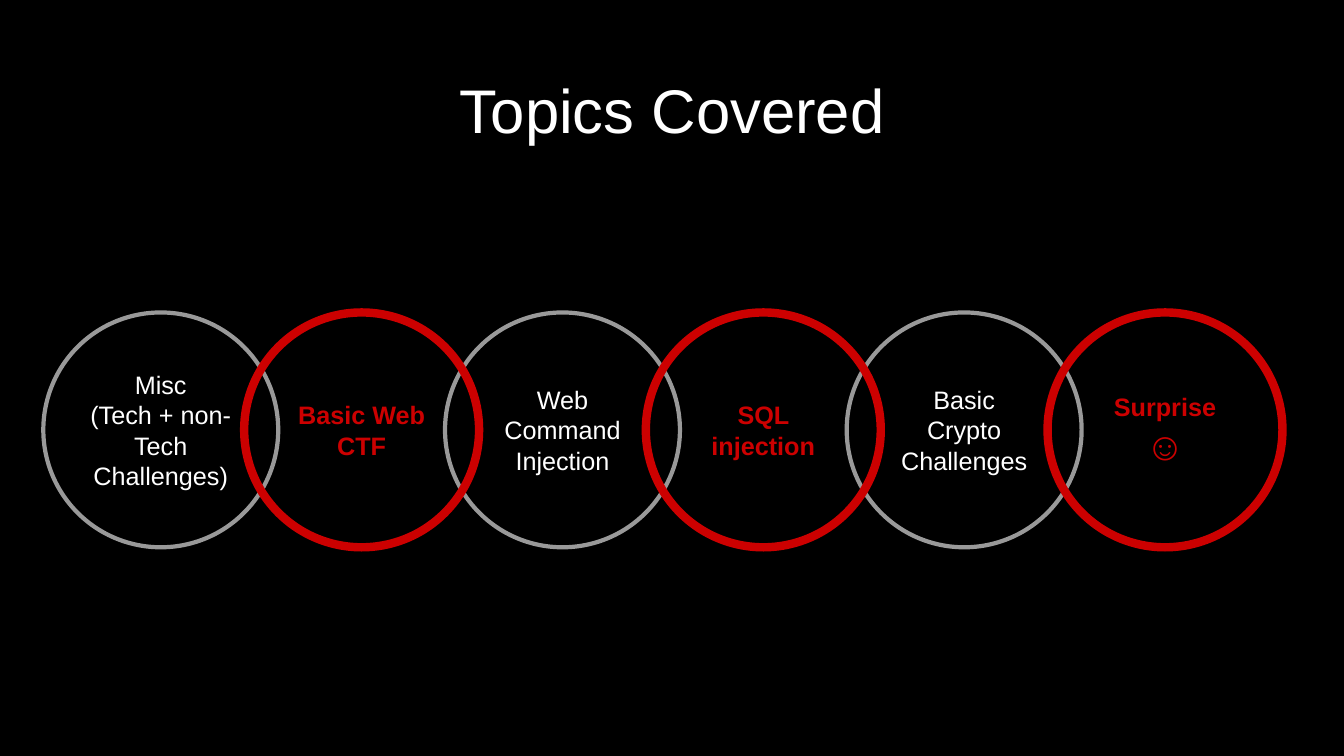
from pptx import Presentation
from pptx.dml.color import RGBColor
from pptx.enum.shapes import MSO_SHAPE as SHAPE
from pptx.enum.text import MSO_ANCHOR as ANCHOR, PP_ALIGN as ALIGN
from pptx.util import Inches, Pt

WHITE, GREY, RED, BLACK = "FFFFFF", "999999", "CC0000", "000000"
DIAMETER, LEFT, TOP = 2.33, 0.43, 3.1
PITCH = 9.96 / 5
TOPICS = [
    ["Misc", "(Tech + non-Tech Challenges)"],
    ["Basic Web CTF"],
    ["Web", "Command", "Injection"],
    ["SQL injection"],
    ["Basic", "Crypto", "Challenges"],
    ["Surprise", "\u263a"],
]


def rgb(value):
    return RGBColor.from_string(value)


def write(tf, lines, size=18, color=WHITE, bold=False, spacing=1.0, inset=0.1):
    tf.word_wrap = True
    tf.vertical_anchor = ANCHOR.MIDDLE
    tf.margin_left = tf.margin_right = Inches(0.1)
    tf.margin_top = tf.margin_bottom = Inches(inset)
    for i, line in enumerate(lines):
        p = tf.paragraphs[0] if i == 0 else tf.add_paragraph()
        p.alignment = ALIGN.CENTER
        p.line_spacing = spacing
        r = p.add_run()
        r.text = line
        r.font.name = "Arial"
        r.font.size = Pt(28 if line == "\u263a" else size)
        r.font.bold = bold
        r.font.color.rgb = rgb(color)


def add_title(slide, text):
    sp = slide.shapes.add_textbox(Inches(0.92), Inches(0.4), Inches(11.5), Inches(1.45))
    write(sp.text_frame, [text], size=44, spacing=0.9, inset=0.05)


def add_ring(slide, index, lines, line_color, line_width, **text_format):
    sp = slide.shapes.add_shape(
        SHAPE.OVAL, Inches(LEFT + index * PITCH), Inches(TOP),
        Inches(DIAMETER), Inches(DIAMETER))
    sp.shadow.inherit = False
    sp.fill.background()
    sp.line.color.rgb = rgb(line_color)
    sp.line.width = Pt(line_width)
    write(sp.text_frame, lines, **text_format)


def main():
    prs = Presentation()
    prs.slide_width, prs.slide_height = Inches(13.33), Inches(7.5)
    slide = prs.slides.add_slide(prs.slide_layouts[6])
    slide.background.fill.solid()
    slide.background.fill.fore_color.rgb = rgb(BLACK)
    add_title(slide, "Topics Covered")
    for i in range(0, len(TOPICS), 2):
        add_ring(slide, i, TOPICS[i], GREY, 3)
    for i in range(1, len(TOPICS), 2):
        add_ring(slide, i, TOPICS[i], RED, 6, color=RED, bold=True)
    prs.save("out.pptx")


main()
